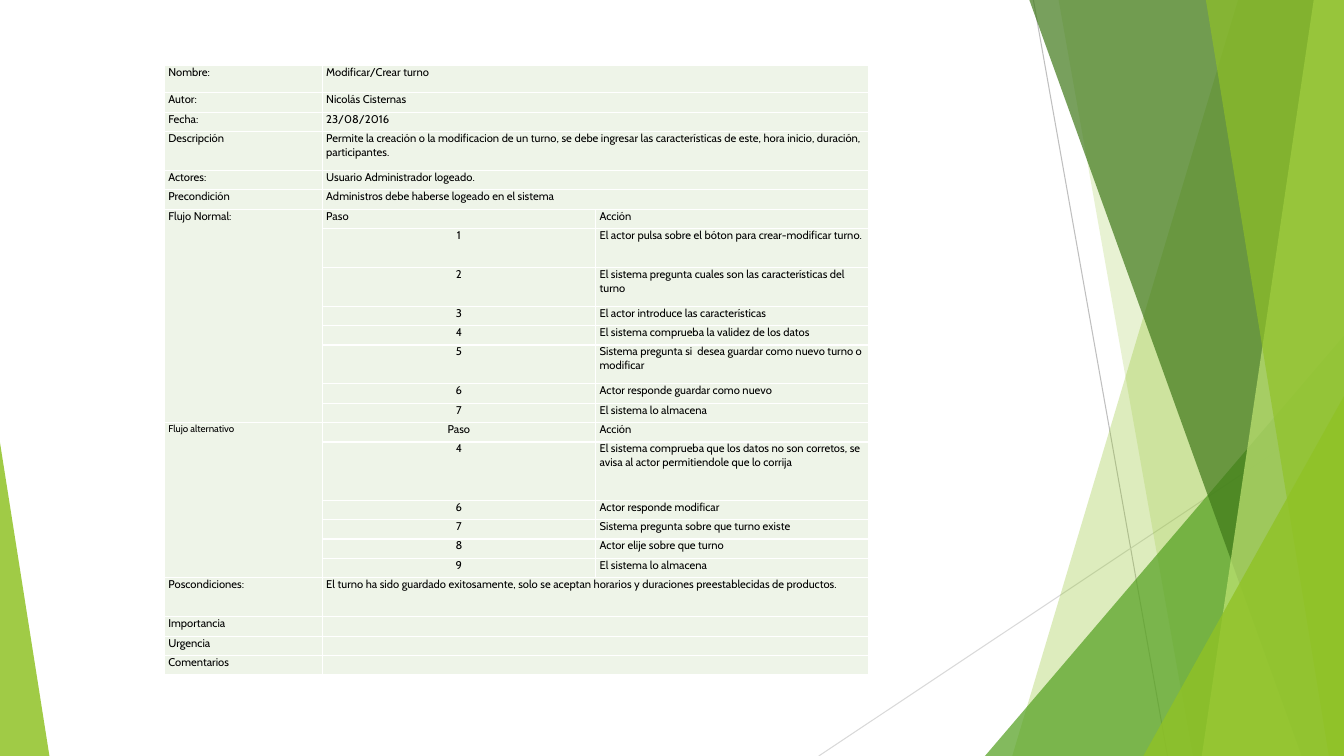
from lxml import etree
from pptx import Presentation
from pptx import util as u
from pptx.dml.color import RGBColor
from pptx.enum import shapes, text
from pptx.oxml.ns import qn

SLIDE_W, SLIDE_H = u.Inches(13.33), u.Inches(7.5)
LIME, LEAF, FOREST, PALE = "90C226", "54A021", "3F7819", "C0E474"
CELL, WHITE, BLACK = "EEF4E8", "FFFFFF", "000000"
FONT = "Cabin"

# Decoration, in percent of its box
LINES = [((76.89, 0), (86.87, 100), "BFBFBF"), ((100, 53.73), (60.92, 100), "D9D9D9")]
# Facets reach the right edge: top-left x, bottom-left x, colour, opacity
BACK_FACETS = [(92.12, 75.32, LIME, 30), (78.77, 88.75, LIME, 20)]
FRONT_FACETS = [(76.59, 96.85, FOREST, 70), (97.75, 89.42, PALE, 70),
                (89.72, 98.87, LIME, 65)]
# Triangles stand on the bottom edge: left, right, top, apex, colour, opacity
BACK_TRIANGLES = [(73.29, 100, 44.4, 1, LEAF, 72)]
FRONT_TRIANGLES = [(85.07, 100, 52.4, 1, LIME, 80), (0, 3.68, 58.53, 0, LIME, 85)]

# Use case: each section has a label and lines of (height in row units, cells)
FIRST_ROW = 1.4
USE_CASE = [
    ("Nombre:", [(FIRST_ROW, "Modificar/Crear turno")]),
    ("Autor:", [(1, "Nicolás Cisternas")]),
    ("Fecha:", [(1, "23/08/2016")]),
    ("Descripción", [(2, "Permite la creación o la modificacion de un turno, se debe ingresar "
                         "las características de este, hora inicio, duración, participantes.")]),
    ("Actores:", [(1, "Usuario Administrador logeado.")]),
    ("Precondición", [(1, "Administros debe haberse logeado en el sistema")]),
    ("Flujo Normal:", [
        (1, "Paso", "Acción"),
        (2, "1", "El actor pulsa sobre el bóton para crear-modificar turno."),
        (2, "2", "El sistema pregunta cuales son las características del turno"),
        (1, "3", "El actor introduce las características"),
        (1, "4", "El sistema comprueba la validez de los datos"),
        (2, "5", "Sistema pregunta si  desea guardar como nuevo turno o modificar"),
        (1, "6", "Actor responde guardar como nuevo"),
        (1, "7", "El sistema lo almacena")]),
    ("Flujo alternativo", [
        (1, "Paso", "Acción"),
        (3, "4", "El sistema comprueba que los datos no son corretos, se avisa al actor "
                 "permitiendole que lo corrija"),
        (1, "6", "Actor responde modificar"),
        (1, "7", "Sistema pregunta sobre que turno existe"),
        (1, "8", "Actor elije sobre que turno"),
        (1, "9", "El sistema lo almacena")]),
    ("Poscondiciones:", [(2, "El turno ha sido guardado exitosamente, solo se aceptan horarios y "
                             "duraciones preestablecidas de productos.")]),
    ("Importancia", [(1, "")]),
    ("Urgencia", [(1, "")]),
    ("Comentarios", [(1, "")]),
]


def rgb(value):
    return RGBColor.from_string(value)


def paint(sp, color, opacity):
    sp.shadow.inherit = False
    sp.line.fill.background()
    sp.fill.solid()
    sp.fill.fore_color.rgb = rgb(color)
    clr = sp.fill._xPr.find(".//" + qn("a:srgbClr"))
    etree.SubElement(clr, qn("a:alpha")).set("val", str(opacity * 1000))


def draw_decoration(s, left, top, width, height):
    def at(x, y):
        return round(left + width * x / 100), round(top + height * y / 100)

    def facets(items):
        for x_top, x_bottom, color, opacity in items:
            fb = s.shapes.build_freeform(*at(x_top, 0))
            fb.add_line_segments([at(100, 0), at(100, 100), at(x_bottom, 100)], close=True)
            paint(fb.convert_to_shape(), color, opacity)

    def triangles(items):
        for x1, x2, y, apex, color, opacity in items:
            (l, t), (r, b) = at(x1, y), at(x2, 100)
            sp = s.shapes.add_shape(shapes.MSO_SHAPE.ISOSCELES_TRIANGLE, l, t, r - l, b - t)
            sp.adjustments[0] = apex
            paint(sp, color, opacity)

    for start, end, color in LINES:
        line = s.shapes.add_connector(shapes.MSO_CONNECTOR.STRAIGHT, *at(*start), *at(*end))
        line.line.color.rgb = rgb(color)
        line.line.width = u.Pt(0.75)
        etree.SubElement(line._element.spPr, qn("a:effectLst"))
    facets(BACK_FACETS)
    triangles(BACK_TRIANGLES)
    facets(FRONT_FACETS)
    triangles(FRONT_TRIANGLES)


def style_cell(cell):
    cell.margin_left = cell.margin_right = u.Inches(0.04)
    cell.margin_top = cell.margin_bottom = 0
    # White borders come before the fill in the cell properties
    for side in ("lnL", "lnR", "lnT", "lnB"):
        ln = etree.SubElement(cell._tc.get_or_add_tcPr(), qn("a:" + side), w=str(u.Pt(1)))
        fill = etree.SubElement(ln, qn("a:solidFill"))
        etree.SubElement(fill, qn("a:srgbClr"), val=WHITE)
    cell.fill.solid()
    cell.fill.fore_color.rgb = rgb(CELL)
    # Empty cells need a small size too, or their rows would grow
    p = cell.text_frame.paragraphs[0]
    if not p.runs:
        etree.SubElement(p._p, qn("a:endParaRPr"), sz="800")


def write(cell, words, size=8, centred=False):
    if not words:
        return
    p = cell.text_frame.paragraphs[0]
    p.text = words
    if centred:
        p.alignment = text.PP_ALIGN.CENTER
    font = p.runs[0].font
    font.name, font.size, font.color.rgb = FONT, u.Pt(size), rgb(BLACK)


def draw_use_case(s, left, top, width, height):
    units = [line[0] for _, lines in USE_CASE for line in lines]
    table = s.shapes.add_table(len(units), 3, left, top, width, height).table
    table.first_row = table.horz_banding = False
    for col, share in zip(table.columns, (0.224, 0.388, 0.388)):
        col.width = round(width * share)
    for row, unit in zip(table.rows, units):
        row.height = round(height * unit / sum(units))

    row = 0
    for label, lines in USE_CASE:
        alternative = label == "Flujo alternativo"
        if len(lines) > 1:
            table.cell(row, 0).merge(table.cell(row + len(lines) - 1, 0))
        write(table.cell(row, 0), label, 7 if alternative else 8)
        for _, *cells in lines:
            if len(cells) == 1:
                table.cell(row, 1).merge(table.cell(row, 2))
                write(table.cell(row, 1), cells[0])
            else:
                step, action = cells
                write(table.cell(row, 1), step, centred=alternative or step.isdigit())
                write(table.cell(row, 2), action)
            row += 1
    for cell in table.iter_cells():
        style_cell(cell)


prs = Presentation()
prs.slide_width, prs.slide_height = SLIDE_W, SLIDE_H
s = prs.slides.add_slide(prs.slide_layouts[6])
draw_decoration(s, 0, 0, SLIDE_W, SLIDE_H)
draw_use_case(s, u.Inches(1.63), u.Inches(0.65), u.Inches(6.99), u.Inches(6.05))
prs.save("out.pptx")
